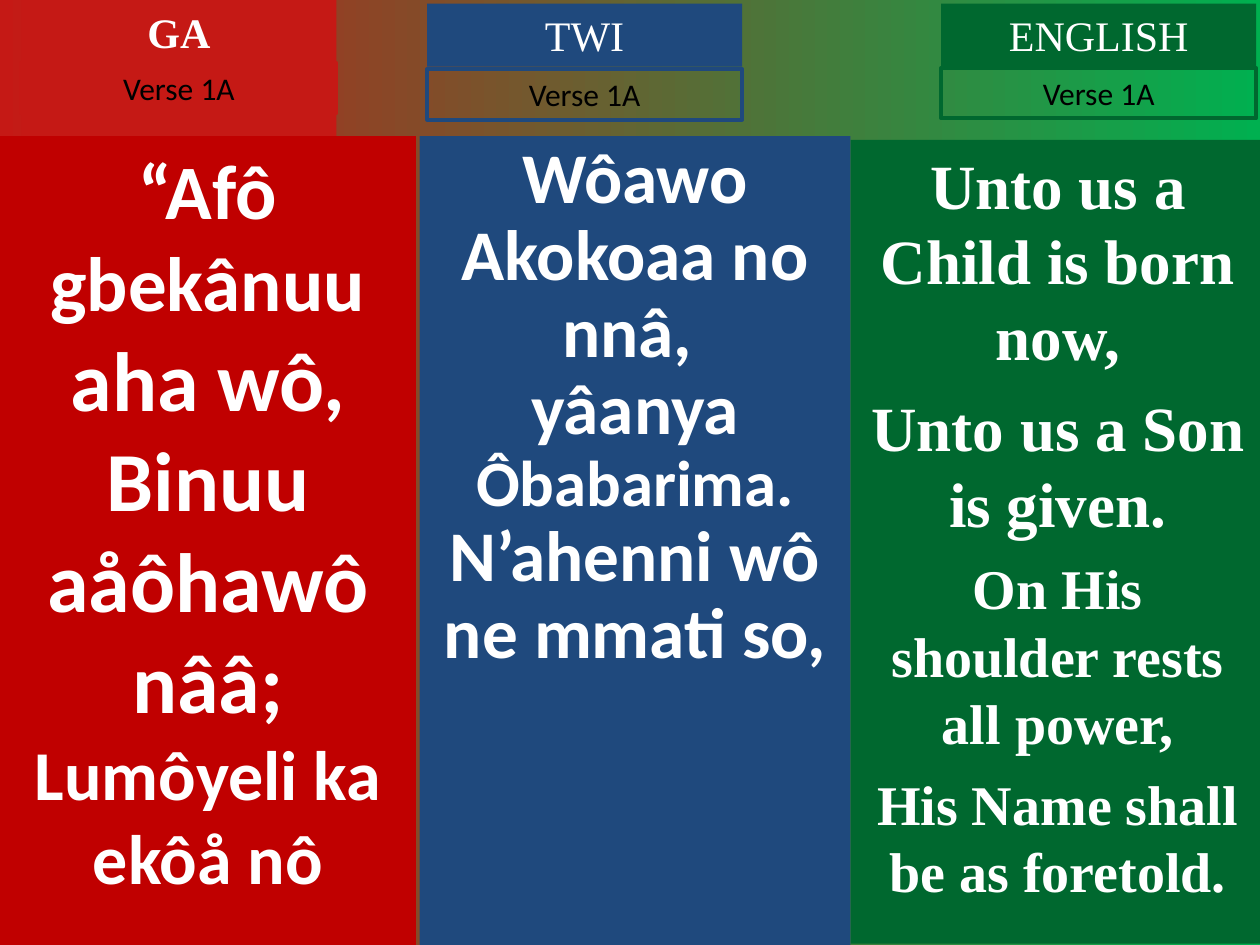
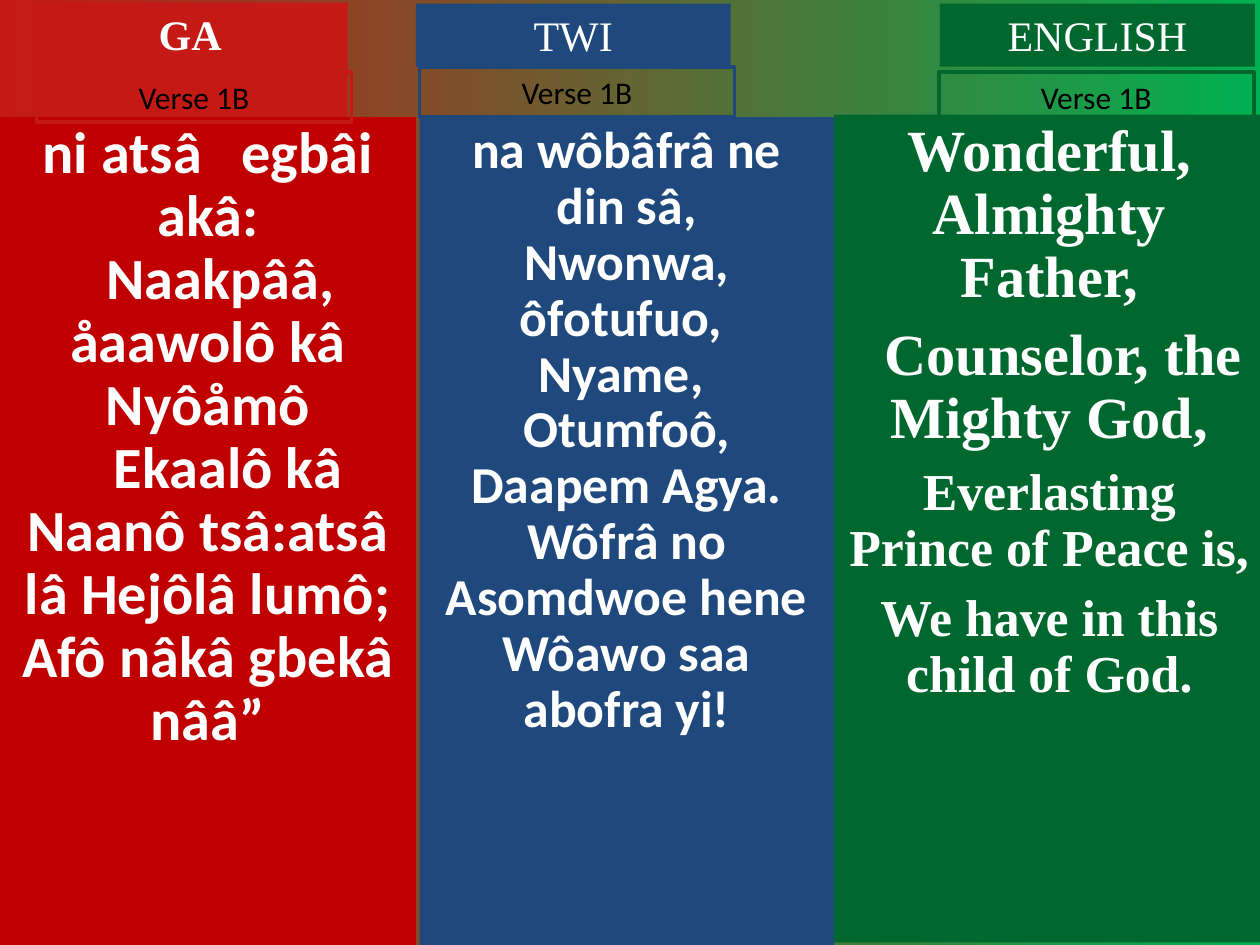
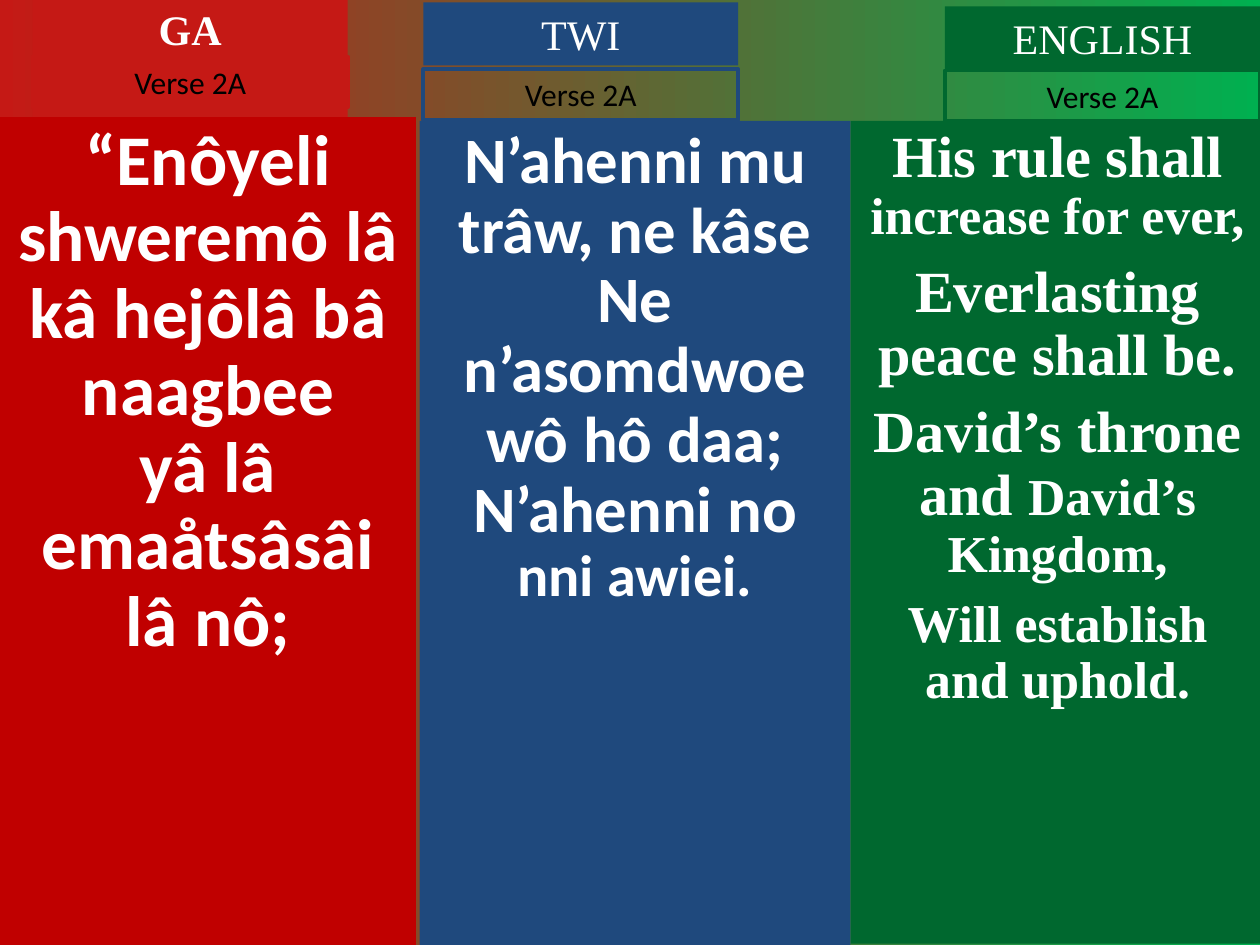
from dataclasses import dataclass

from lxml.etree import SubElement
from pptx import Presentation
from pptx.dml.color import RGBColor
from pptx.enum.shapes import MSO_SHAPE
from pptx.enum.text import MSO_ANCHOR, MSO_AUTO_SIZE, PP_ALIGN
from pptx.oxml.ns import qn
from pptx.util import Inches, Pt


# Theme: colours, fonts and sizes
@dataclass(frozen=True)
class Theme:
    background = ("C51915", "00B050")
    text = "FFFFFF"
    label_text = "000000"
    sans = "Calibri"
    serif = "Times New Roman"
    heading_size = 24
    label_size = 18
    label_line = 2.25
    heading_box = (2.5, 0.5)
    label_box = (2.5, 0.4)


THEME = Theme()


@dataclass(frozen=True)
class Language:
    name: str
    accent: str
    body_fill: str
    body_font: str
    bold_heading: bool
    spaced: bool
    placeholder: int


LANGUAGES = [
    Language("GA", "C51915", "C00000", THEME.sans, True, False, 2),
    Language("TWI", "1F497D", "1F497D", THEME.sans, False, False, 4),
    Language("ENGLISH", "00682F", "00682F", THEME.serif, False, True, 3),
]


@dataclass(frozen=True)
class Line:
    runs: tuple  # (text, size) or (text, size, letter spacing)
    indent: float = 0


def line(text, size, indent=0):
    return Line(((text, size),), indent)


# Content: per language, positions of heading, label and body, then the verse
SLIDES = [
    ("Verse 1A", [
        dict(heading=(0.17, 0), label=(0.17, 0.5), body=(0, 1.08, 3.3, 6.42), spacing=1, verse=[
            Line((("“Afô gbekânuu ", 44), ("aha wô, Binuu aåôhawô nââ;", 48))),
            line("Lumôyeli ka ekôå nô", 40),
        ]),
        dict(heading=(3.39, 0.03), label=(3.39, 0.55), body=(3.33, 1.08, 3.42, 6.42), spacing=0.9, verse=[
            line("Wôawo Akokoaa no nnâ, ", 40.7),
            Line((("yâanya ", 40.7), ("Ôbabarima.", 37))),
            line("N’ahenni wô ne mmati so,", 40.7),
        ]),
        dict(heading=(7.47, 0.03), label=(7.47, 0.54), body=(6.75, 1.11, 3.29, 6.38), spacing=1, verse=[
            line("Unto us a Child is born now,", 36),
            line("Unto us a Son is given.", 36),
            line("On His shoulder rests all power,", 32),
            line("His Name shall be as foretold.", 32),
        ]),
    ]),
    ("Verse 1B", [
        dict(heading=(0.26, 0.02), label=(0.29, 0.57), body=(0, 0.93, 3.3, 6.57), spacing=0.9, verse=[
            Line((("ni atsâ", 33.3), (" ", 33.3, 15), ("egbâi akâ:", 33.3))),
            Line((("Naakpââ, åaawolô kâ", 33.3), (" ", 33.3, 15), ("Nyôåmô", 33.3)), 0.2),
            line("Ekaalô kâ Naanô tsâ:atsâ lâ Hejôlâ lumô;", 33.3, 0.32),
            line("Afô nâkâ gbekâ nââ”", 33.3),
        ]),
        dict(heading=(3.3, 0.03), label=(3.33, 0.53), body=(3.33, 0.93, 3.29, 6.57), spacing=0.9, verse=[
            line("na wôbâfrâ ne din sâ,", 29.6),
            line("Nwonwa, ôfotufuo, ", 29.6),
            line("Nyame, ", 29.6),
            line("Otumfoô, Daapem Agya. Wôfrâ no Asomdwoe hene", 29.6),
            line("Wôawo saa abofra yi!", 29.6),
        ]),
        dict(heading=(7.46, 0.03), label=(7.45, 0.57), body=(6.62, 0.91, 3.42, 6.57), spacing=0.9, verse=[
            line("Wonderful, Almighty Father,", 33.3),
            line("Counselor, the Mighty God,", 33.3, 0.22),
            line("Everlasting Prince of Peace is,", 29.6),
            line("We have in this child of God.", 29.6),
        ]),
    ]),
    ("Verse 2A", [
        dict(heading=(0.26, -0.02), label=(0.26, 0.45), body=(0, 0.93, 3.3, 6.57), spacing=0.9, verse=[
            line("“Enôyeli shweremô lâ", 40.7),
            line("kâ hejôlâ bâ naagbee", 40.7),
            line("yâ lâ emaåtsâsâi lâ nô;", 40.7),
        ]),
        dict(heading=(3.36, 0.02), label=(3.36, 0.55), body=(3.33, 0.96, 3.42, 6.54), spacing=0.9, verse=[
            line("N’ahenni mu trâw, ne kâse", 37),
            line("Ne n’asomdwoe wô hô daa;", 37),
            Line((("N’ahenni no ", 37), ("nni awiei.", 33.3))),
        ]),
        dict(heading=(7.5, 0.05), label=(7.5, 0.56), body=(6.75, 0.96, 3.29, 6.53), spacing=0.9, verse=[
            Line((("His rule shall ", 33.3), ("increase for ever,", 29.6))),
            line("Everlasting peace shall be.", 33.3),
            Line((("David’s throne and ", 33.3), ("David’s Kingdom,", 29.6))),
            line("Will establish and uphold.", 29.6),
        ]),
    ]),
]


# Shared building steps
def set_attributes(target, values):
    for name, value in values.items():
        setattr(target, name, value)


def format_box(shape, box, fill=None, outline=None):
    set_attributes(shape, dict(zip(("left", "top", "width", "height"), map(Inches, box))))
    shape.shadow.inherit = False
    if fill:
        shape.fill.solid()
        shape.fill.fore_color.rgb = RGBColor.from_string(fill)
    else:
        shape.fill.background()
    if outline:
        shape.line.color.rgb = RGBColor.from_string(outline)
        shape.line.width = Pt(THEME.label_line)
    else:
        shape.line.fill.background()


def write_lines(shape, lines, font, color, bold=False, spacing=1, spaced=False, grow=True):
    frame = shape.text_frame
    set_attributes(frame, {
        "word_wrap": True,
        "auto_size": MSO_AUTO_SIZE.SHAPE_TO_FIT_TEXT if grow else MSO_AUTO_SIZE.NONE,
        "vertical_anchor": MSO_ANCHOR.TOP,
        "margin_left": Inches(0.1), "margin_right": Inches(0.1),
        "margin_top": Inches(0.05), "margin_bottom": Inches(0.05),
    })
    for number, content in enumerate(lines):
        paragraph = frame.add_paragraph() if number else frame.paragraphs[0]
        properties = paragraph._p.get_or_add_pPr()
        properties.set("marL", "0")
        properties.set("indent", str(Inches(content.indent)))
        SubElement(properties, qn("a:buNone"))
        before = (9 if content.runs[-1][1] > 33 else 8) if spaced and number else 0
        set_attributes(paragraph, {
            "alignment": PP_ALIGN.CENTER, "line_spacing": spacing,
            "space_before": Pt(before), "space_after": Pt(0),
        })
        for text, size, *letter_spacing in content.runs:
            run = paragraph.add_run()
            run.text = text
            set_attributes(run.font, {"name": font, "size": Pt(size), "bold": bold})
            run.font.color.rgb = RGBColor.from_string(color)
            for points in letter_spacing:
                run.font._element.set("spc", str(points * 100))


def add_rectangle(slide):
    return slide.shapes.add_shape(MSO_SHAPE.RECTANGLE, 0, 0, 0, 0)


def add_column(slide, language, column, verse_name):
    # Verse text
    body = slide.placeholders[language.placeholder]
    format_box(body, column["body"], fill=language.body_fill)
    write_lines(body, column["verse"], language.body_font, THEME.text, bold=True,
                spacing=column["spacing"], spaced=language.spaced, grow=False)
    # Language heading: the first one is the slide title
    heading = slide.shapes.title if language is LANGUAGES[0] else add_rectangle(slide)
    format_box(heading, column["heading"] + THEME.heading_box, fill=language.accent)
    write_lines(heading, [line(language.name, THEME.heading_size)], THEME.serif,
                THEME.text, bold=language.bold_heading)
    # Verse label
    label = add_rectangle(slide)
    format_box(label, column["label"] + THEME.label_box, outline=language.accent)
    write_lines(label, [line(verse_name, THEME.label_size)], THEME.sans, THEME.label_text)


def main():
    presentation = Presentation()
    presentation.slide_width, presentation.slide_height = Inches(10), Inches(7.5)

    # Background shared through the master
    background = presentation.slide_master.background.fill
    background.gradient()
    background.gradient_angle = 0
    for position, (stop, color) in enumerate(zip(background.gradient_stops, THEME.background)):
        stop.position = position
        stop.color.rgb = RGBColor.from_string(color)

    comparison_layout = presentation.slide_layouts.get_by_name("Comparison")
    for verse_name, columns in SLIDES:
        slide = presentation.slides.add_slide(comparison_layout)
        spare = slide.placeholders[1]._element
        spare.getparent().remove(spare)
        for language, column in zip(LANGUAGES, columns):
            add_column(slide, language, column, verse_name)

    presentation.save("out.pptx")


if __name__ == "__main__":
    main()
